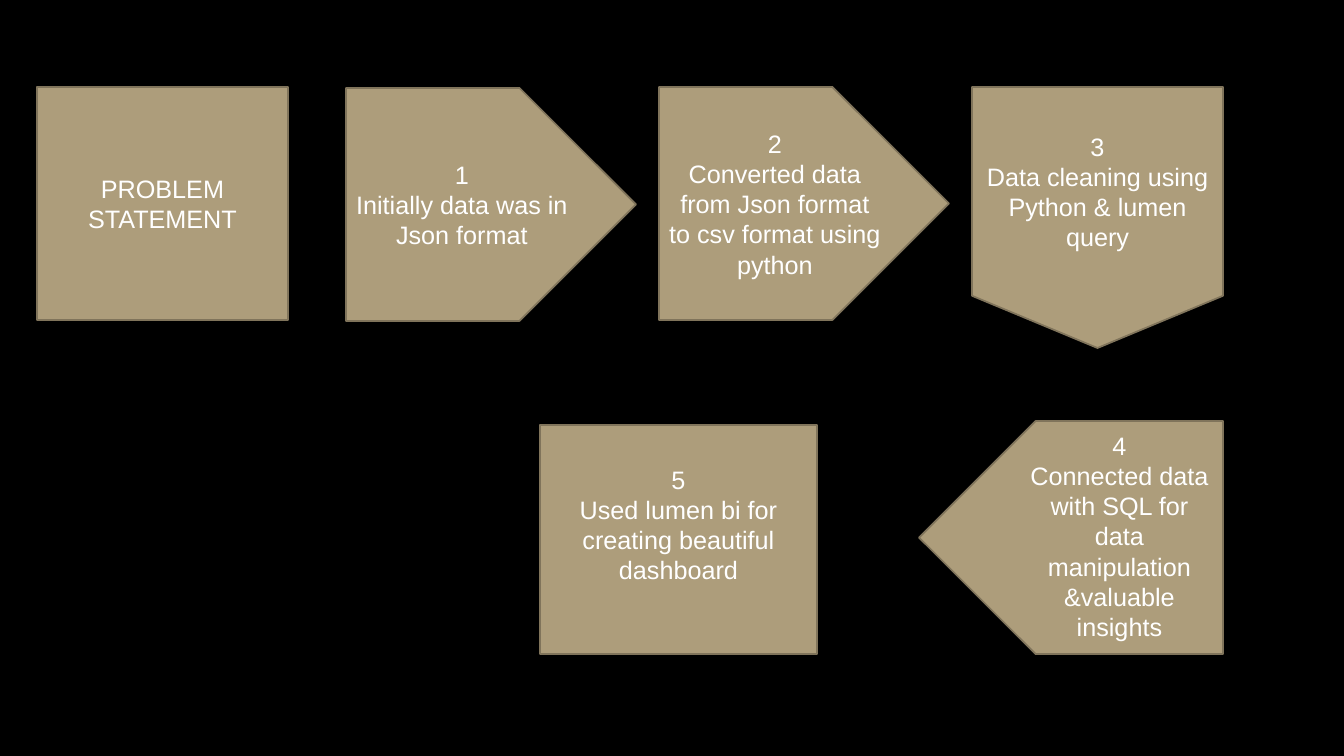
from pptx import Presentation
from pptx.dml.color import RGBColor
from pptx.enum.shapes import MSO_SHAPE
from pptx.enum.text import MSO_ANCHOR, PP_ALIGN
from pptx.util import Emu, Pt

COLORS = {"back": "000000", "fill": "AD9D7B", "line": "80745B", "text": "FFFFFF"}


def px(n):
    return Emu(round(n * 914400 / 100.8))


class FlowSlide:
    """Draws flow steps in one style on the current slide."""

    def __init__(self, prs):
        self.s = prs.slides.add_slide(prs.slide_layouts[6])
        fill = self.s.background.fill
        fill.solid()
        fill.fore_color.rgb = self.color("back")

    def color(self, name):
        return RGBColor.from_string(COLORS[name])

    def set_text(self, sp, lines, anchor):
        tf = sp.text_frame
        tf.word_wrap = True
        tf.vertical_anchor = anchor
        tf.text = "\n".join(lines)
        for p in tf.paragraphs:
            p.alignment = PP_ALIGN.CENTER
            p.font.name = "Arial"
            p.font.size = Pt(18)
            p.font.color.rgb = self.color("text")

    def step(self, kind, box, lines=()):
        sp = self.s.shapes.add_shape(kind, *map(px, box))
        sp.shadow.inherit = False
        sp.fill.solid()
        sp.fill.fore_color.rgb = self.color("fill")
        sp.line.color.rgb = self.color("line")
        sp.line.width = Pt(1.25)
        if lines:
            self.set_text(sp, lines, MSO_ANCHOR.MIDDLE)
        return sp

    def label(self, box, lines):
        sp = self.s.shapes.add_textbox(*map(px, box))
        self.set_text(sp, lines, MSO_ANCHOR.TOP)


def main():
    prs = Presentation()
    prs.slide_width, prs.slide_height = px(1344), px(756)
    flow = FlowSlide(prs)

    box = MSO_SHAPE.FLOWCHART_PROCESS
    arrow = MSO_SHAPE.PENTAGON
    down = MSO_SHAPE.FLOWCHART_OFFPAGE_CONNECTOR

    flow.step(box, (37, 87, 251, 233), ["PROBLEM STATEMENT"])
    flow.step(arrow, (346, 88, 290, 233), ["1", "Initially data was in Json format"])
    flow.step(arrow, (659, 87, 290, 233),
              ["2", "Converted data from Json format to csv format using python"])
    flow.step(down, (972, 87, 251, 261),
              ["3", "Data cleaning using", "Python & lumen query"])

    back = flow.step(arrow, (919, 421, 304, 233))
    back.rotation = 180
    flow.label((1015, 425, 209, 224),
               ["4", "Connected data with SQL for data manipulation &valuable insights"])

    last = flow.step(box, (540, 425, 277, 229),
                     ["5", "Used lumen bi for creating beautiful dashboard"])
    last.text_frame.margin_bottom = px(35)

    prs.save("out.pptx")


if __name__ == "__main__":
    main()
